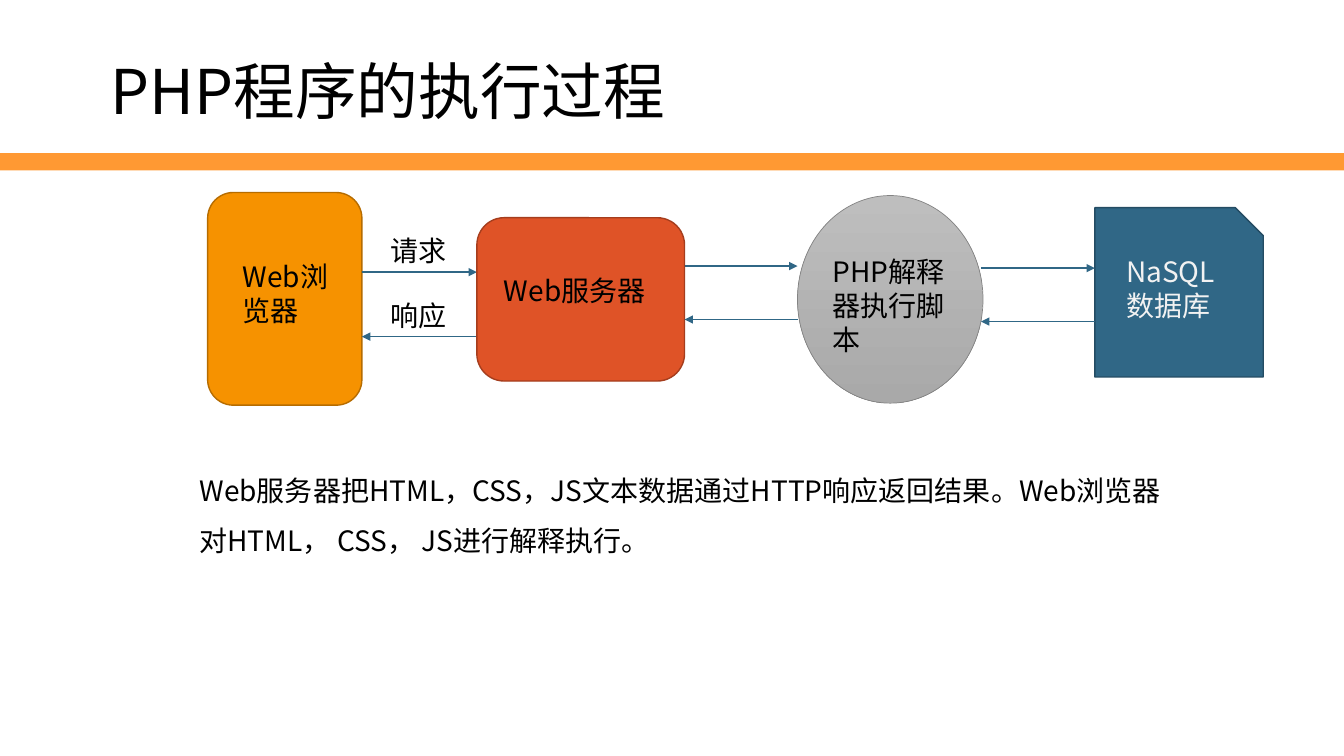
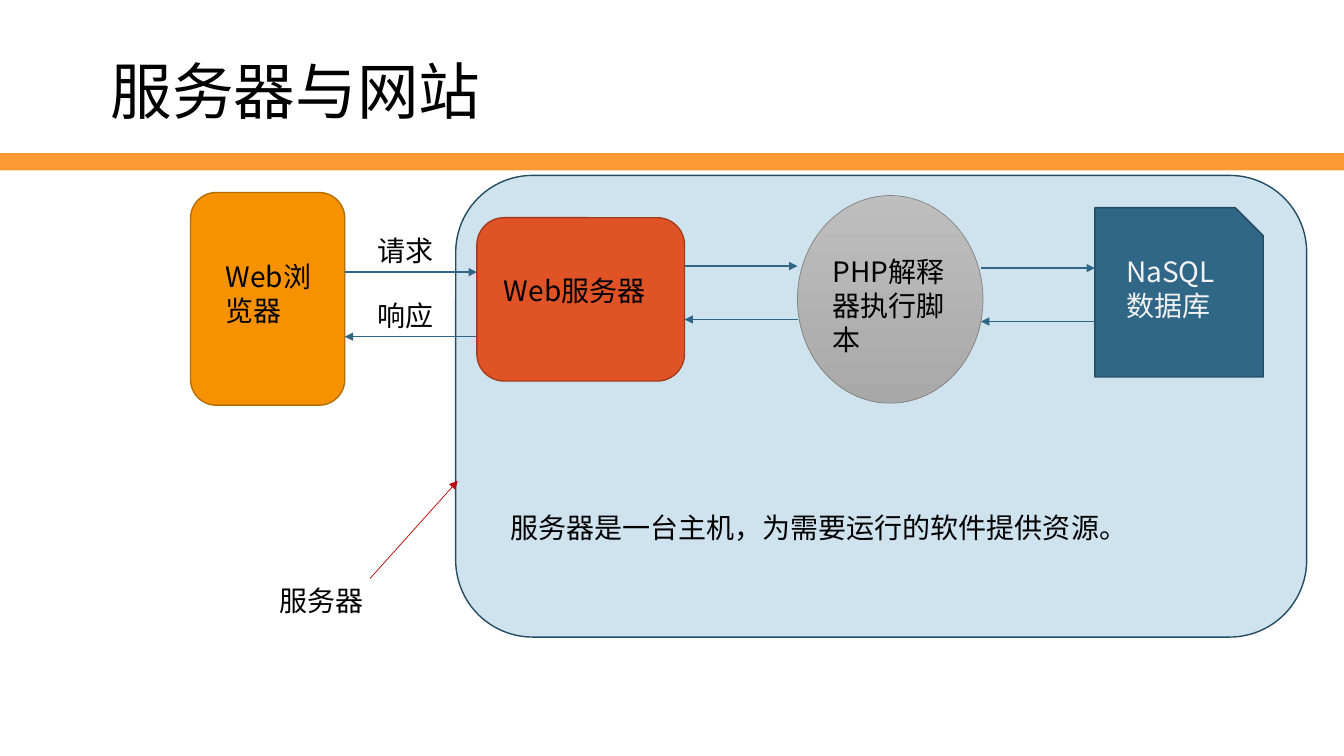
import pptx
import pptx.util
import pptx.dml.color
import pptx.enum.shapes
import pptx.enum.text
import pptx.oxml.ns
from lxml import etree

Inches = pptx.util.Inches
Pt = pptx.util.Pt
RGBColor = pptx.dml.color.RGBColor
PRESET = pptx.enum.shapes.MSO_SHAPE
ANCHOR = pptx.enum.text.MSO_ANCHOR
qn = pptx.oxml.ns.qn

FONT = "Noto Sans CJK SC"
SLIDE_WIDTH, SLIDE_HEIGHT = 13.33, 7.5
BLACK = RGBColor(0x00, 0x00, 0x00)
PALE_TEXT = RGBColor(0xF2, 0xF2, 0xF2)
BAND = RGBColor(0xFF, 0x99, 0x33)
BROWSER = RGBColor(0xF6, 0x92, 0x00)
BROWSER_EDGE = RGBColor(0xB6, 0x6C, 0x00)
SERVER = RGBColor(0xDF, 0x53, 0x27)
SERVER_EDGE = RGBColor(0xA5, 0x3D, 0x1D)
PHP_TOP = RGBColor(0xBE, 0xBE, 0xBE)
PHP_BOTTOM = RGBColor(0xA9, 0xA9, 0xA9)
PHP_EDGE = RGBColor(0x83, 0x83, 0x83)
BLUE = RGBColor(0x30, 0x67, 0x86)
BLUE_EDGE = RGBColor(0x24, 0x4C, 0x63)
HOST = RGBColor(0xCF, 0xE3, 0xEE)
POINTER = RGBColor(0xC0, 0x00, 0x00)

FLOW_TOP = 1.91
SERVER_LEFT = 4.73
BROWSER_WIDTH = 1.53


def add_text(slide, text, left, top, width, height, size=20, color=BLACK,
             spacing=None, anchor=ANCHOR.TOP):
    box = slide.shapes.add_textbox(Inches(left), Inches(top), Inches(width), Inches(height))
    frame = box.text_frame
    frame.word_wrap = True
    frame.vertical_anchor = anchor
    paragraph = frame.paragraphs[0]
    if spacing:
        paragraph.line_spacing = spacing
    run = paragraph.add_run()
    run.text = text
    run.font.size = Pt(size)
    run.font.name = FONT
    run.font.color.rgb = color
    east_asian = etree.SubElement(run.font._element, qn("a:ea"))
    east_asian.set("typeface", FONT)


def add_block(slide, preset, left, top, width, height, fill, edge=None, edge_width=1):
    """Draw a filled shape; a pair of colours makes a top-to-bottom gradient."""
    block = slide.shapes.add_shape(
        preset, Inches(left), Inches(top), Inches(width), Inches(height))
    block.shadow.inherit = False
    if isinstance(fill, list):
        block.fill.gradient()
        block.fill.gradient_angle = 270
        for stop, color in zip(block.fill.gradient_stops, fill):
            stop.color.rgb = color
    else:
        block.fill.solid()
        block.fill.fore_color.rgb = fill
    if edge is None:
        block.line.fill.background()
    else:
        block.line.color.rgb = edge
        block.line.width = Pt(edge_width)


def add_arrow(slide, start, end, color=BLUE, width=1):
    arrow = slide.shapes.add_connector(
        pptx.enum.shapes.MSO_CONNECTOR.STRAIGHT,
        *(Inches(value) for value in (*start, *end)))
    arrow.line.color.rgb = color
    arrow.line.width = Pt(width)
    tip = etree.SubElement(arrow.line._get_or_add_ln(), qn("a:tailEnd"))
    tip.set("type", "triangle")
    etree.SubElement(arrow._element.spPr, qn("a:effectLst"))


def add_exchange(slide, left, right, request_y, reply_y):
    """Draw a request arrow to the right and a reply arrow back."""
    add_arrow(slide, (left, request_y), (right, request_y))
    add_arrow(slide, (right, reply_y), (left, reply_y))


def start_slide(deck, title):
    slide = deck.slides.add_slide(deck.slide_layouts[6])
    add_block(slide, PRESET.RECTANGLE, 0, 1.52, SLIDE_WIDTH, 0.17, BAND)
    add_text(slide, title, 1, 0.56, 6.65, 0.75, size=44, spacing=0.9, anchor=ANCHOR.MIDDLE)
    return slide


def draw_browser(slide, left, top, label_left):
    """Draw the browser and its exchange with the web server."""
    add_block(slide, PRESET.ROUNDED_RECTANGLE, left, top, BROWSER_WIDTH, 2.11,
              BROWSER, BROWSER_EDGE)
    add_text(slide, "Web浏览器", left + 0.25, top + 0.62, 1.08, 0.77)
    add_exchange(slide, left + BROWSER_WIDTH, SERVER_LEFT, top + 0.79, top + 1.43)
    for label, offset in (("请求", 0.36), ("响应", 1)):
        add_text(slide, label, label_left, top + offset, 0.78, 0.44)


def draw_backend(slide, left, top):
    """Draw web server, PHP interpreter and database from left to right."""
    add_block(slide, PRESET.ROUNDED_RECTANGLE, left, top + 0.25, 2.06, 1.62,
              SERVER, SERVER_EDGE)
    add_block(slide, PRESET.OVAL, left + 3.18, top + 0.03, 1.84, 2.06,
              [PHP_TOP, PHP_BOTTOM], PHP_EDGE, 0.5)
    add_block(slide, PRESET.SNIP_1_RECTANGLE, left + 6.13, top + 0.15, 1.67, 1.68,
              BLUE, BLUE_EDGE)
    add_text(slide, "Web服务器", left + 0.17, top + 0.75, 1.73, 0.44)
    add_text(slide, "PHP解释器执行脚本", left + 3.43, top + 0.57, 1.34, 1.11)
    add_text(slide, "NaSQL数据库", left + 6.34, top + 0.57, 1.22, 0.77, color=PALE_TEXT)
    add_exchange(slide, left + 2.06, left + 3.18, top + 0.73, top + 1.26)
    add_exchange(slide, left + 5, left + 6.13, top + 0.75, top + 1.28)


def draw_host(slide, left, top):
    """Draw the panel of the host machine and the pointer that names it."""
    add_block(slide, PRESET.ROUNDED_RECTANGLE, left, top, 8.44, 4.58, HOST, BLUE_EDGE)
    add_text(slide, "服务器是一台主机，为需要运行的软件提供资源。",
             left + 0.44, top + 3.11, 7.58, 0.55, spacing=1.5)
    add_arrow(slide, (left - 0.85, top + 4), (left + 0.02, top + 3.03), POINTER, 0.5)
    add_text(slide, "服务器", left - 1.85, top + 4, 1.29, 0.44)


def build_execution_slide(deck):
    slide = start_slide(deck, "PHP程序的执行过程")
    draw_browser(slide, 2.06, FLOW_TOP, label_left=3.77)
    draw_backend(slide, SERVER_LEFT, FLOW_TOP)
    add_text(slide, "Web服务器把HTML，CSS，JS文本数据通过HTTP响应返回结果。"
             "Web浏览器对HTML， CSS， JS进行解释执行。",
             1.88, 4.48, 10, 1.05, spacing=1.5)


def build_host_slide(deck):
    slide = start_slide(deck, "服务器与网站")
    draw_host(slide, 4.52, 1.74)
    draw_browser(slide, 1.89, FLOW_TOP, label_left=3.65)
    draw_backend(slide, SERVER_LEFT, FLOW_TOP)


def main():
    deck = pptx.Presentation()
    deck.slide_width = Inches(SLIDE_WIDTH)
    deck.slide_height = Inches(SLIDE_HEIGHT)
    build_execution_slide(deck)
    build_host_slide(deck)
    deck.save("out.pptx")


if __name__ == "__main__":
    main()
